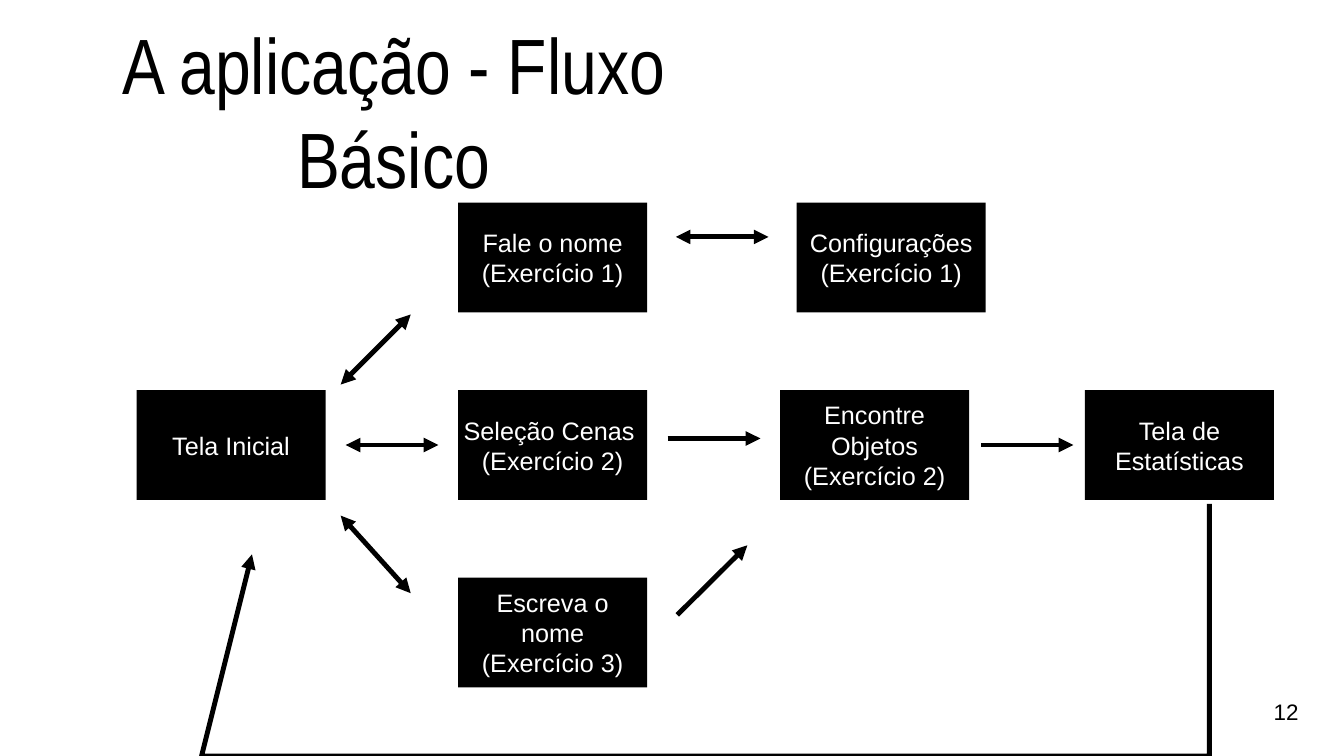
from lxml import etree
from pptx import Presentation
from pptx.dml.color import RGBColor
from pptx.enum.shapes import MSO_CONNECTOR, MSO_SHAPE
from pptx.enum.text import MSO_ANCHOR, PP_ALIGN
from pptx.oxml.ns import qn
from pptx.util import Inches, Pt

RECT = MSO_SHAPE.RECTANGLE
LINE = MSO_CONNECTOR.STRAIGHT
MIDDLE, TOP = MSO_ANCHOR.MIDDLE, MSO_ANCHOR.TOP
CENTER = PP_ALIGN.CENTER

COLORS = {"ink": "000000", "paper": "FFFFFF"}
PAD = 0.08
CARD = (3.75, 2.18)
ROWS = [4.02 + 3.72 * i for i in range(3)]

CARDS = [  # left, row, lines
    (2.71, 1, ["Tela Inicial"]),
    (9.09, 0, ["Fale o nome", "(Exercício 1)"]),
    (9.09, 1, ["Seleção Cenas ", "(Exercício 2)"]),
    (9.09, 2, ["Escreva o nome", "(Exercício 3)"]),
    (15.81, 0, ["Configurações", "(Exercício 1)"]),
    (15.48, 1, ["Encontre Objetos", "(Exercício 2)"]),
    (21.53, 1, ["Tela de Estatísticas"]),
]
ARROWS = [  # start, end, both ways
    ((6.76, 7.63), (8.15, 6.24), True),
    ((6.86, 8.83), (8.7, 8.83), True),
    ((6.76, 10.23), (8.15, 11.77), True),
    ((13.41, 4.7), (15.25, 4.7), True),
    ((13.25, 8.7), (15.09, 8.7), False),
    ((13.44, 12.2), (14.83, 10.82), False),
    ((19.47, 8.83), (21.3, 8.83), False),
]
RETURN = [(23.64, 10.31), (23.63, 14.69), (4.5, 14.67), (4.54, 10.56)]


def color(name):
    return RGBColor.from_string(COLORS[name])


def write(shape, lines, size, font, tone, anchor=MIDDLE, wrap=True):
    frame = shape.text_frame
    frame.word_wrap = wrap
    frame.vertical_anchor = anchor
    frame.margin_left = frame.margin_right = Inches(PAD)
    frame.margin_top = frame.margin_bottom = Inches(PAD)
    frame.text = "\n".join(lines)
    for para in frame.paragraphs:
        para.alignment = CENTER
        for run in para.runs:
            run.font.size = Pt(size)
            run.font.name = font
            run.font.color.rgb = color(tone)
    return frame


def stroke(shape, both=False):
    """Draw a thick dark line with a triangle at its end, or at both ends."""
    shape.line.color.rgb = color("ink")
    shape.line.width = Pt(7)
    props = shape.line._get_or_add_ln()
    for tag in ["a:headEnd", "a:tailEnd"] if both else ["a:tailEnd"]:
        etree.SubElement(props, qn(tag), type="triangle")


def add_title(slide, box):
    shape = slide.shapes.add_textbox(*map(Inches, box))
    frame = write(shape, ["A aplicação - Fluxo Básico"], 112, "Arial Narrow", "ink")
    frame.margin_left = 0
    frame.margin_right = Inches(2.09)  # breaks the line before the last word


def add_number(slide, box):
    shape = slide.shapes.add_textbox(*map(Inches, box))
    write(shape, ["12"], 32, "Arial", "ink", TOP, False)


def add_card(slide, box, lines):
    shape = slide.shapes.add_shape(RECT, *map(Inches, box))
    shape.shadow.inherit = False
    shape.fill.solid()
    shape.fill.fore_color.rgb = color("ink")
    shape.line.fill.background()
    write(shape, lines, 36, "Arial", "paper")


def add_arrow(slide, start, end, both):
    arrow = slide.shapes.add_connector(LINE, *map(Inches, start + end))
    stroke(arrow, both)
    etree.SubElement(arrow._element.spPr, qn("a:effectLst"))


def add_return(slide, points):
    """Draw the bent arrow from the last screen back to the first."""
    start, *rest = points
    builder = slide.shapes.build_freeform(*start, scale=Inches(1))
    builder.add_line_segments(rest, close=False)
    shape = builder.convert_to_shape()
    shape.shadow.inherit = False
    shape.fill.background()
    stroke(shape)


def main():
    deck = Presentation()
    deck.slide_width, deck.slide_height = Inches(26.67), Inches(15)
    slide = deck.slides.add_slide(deck.slide_layouts[6])
    add_number(slide, (25.19, 13.77, 0.66, 0.69))
    add_title(slide, (2.36, 1.33, 12.99, 1.71))
    for left, row, lines in CARDS:
        add_card(slide, (left, ROWS[row], *CARD), lines)
    for start, end, both in ARROWS:
        add_arrow(slide, start, end, both)
    add_return(slide, RETURN)
    deck.save("out.pptx")


if __name__ == "__main__":
    main()
